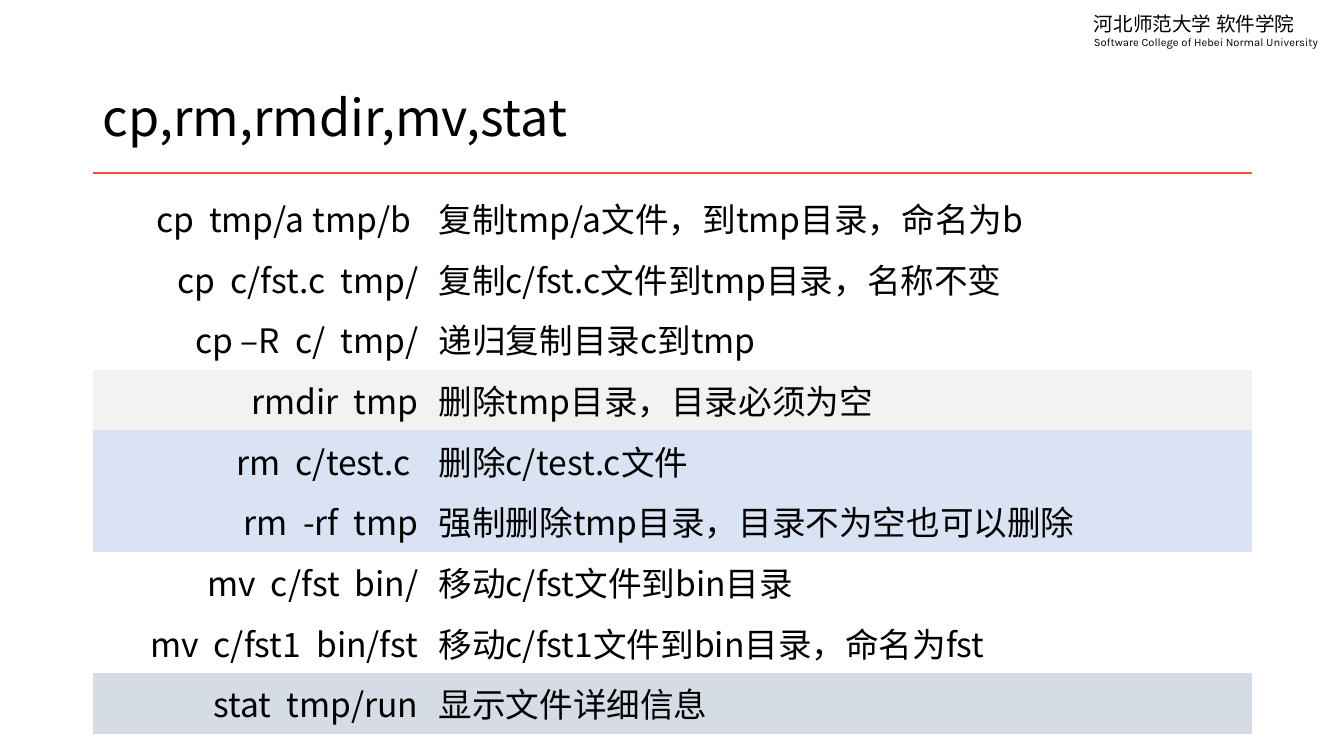
"""Build a slide that lists file commands with their explanations."""
from lxml import etree
from pptx import Presentation
from pptx.dml.color import RGBColor
from pptx.enum.shapes import MSO_CONNECTOR
from pptx.enum.text import MSO_ANCHOR, PP_ALIGN
from pptx.oxml.ns import qn
from pptx.util import Pt

PX = 9144
STRAIGHT = MSO_CONNECTOR.STRAIGHT
MIDDLE = MSO_ANCHOR.MIDDLE
LEFT, RIGHT = PP_ALIGN.LEFT, PP_ALIGN.RIGHT
CJK_FONT = "Noto Sans CJK SC"
LATIN_FONT = "Karla"
BLACK, ORANGE = "000000", "F0532E"
GREY, BLUE, SLATE = "F2F2F2", "DAE3F3", "D6DCE5"
PLAIN_STYLE = "{2D5ABB26-0587-4C30-8999-92F81FD0307C}"
MARGIN, CONTENT_WIDTH = 92, 1150
TABLE_TOP, TABLE_HEIGHT = 186, 542
COLUMN_WIDTHS = (333, 817)
COMMANDS = [
    ("cp  tmp/a tmp/b ", "复制tmp/a文件，到tmp目录，命名为b", None),
    ("cp  c/fst.c  tmp/", "复制c/fst.c文件到tmp目录，名称不变", None),
    ("cp –R  c/  tmp/", "递归复制目录c到tmp", None),
    ("rmdir  tmp", "删除tmp目录，目录必须为空", GREY),
    ("rm  c/test.c ", "删除c/test.c文件", BLUE),
    ("rm  -rf  tmp", "强制删除tmp目录，目录不为空也可以删除", BLUE),
    ("mv  c/fst  bin/", "移动c/fst文件到bin目录", None),
    ("mv  c/fst1  bin/fst", "移动c/fst1文件到bin目录，命名为fst", None),
    ("stat  tmp/run", "显示文件详细信息", SLATE),
]


def px(*lengths):
    """Turn px lengths into EMU."""
    return [length * PX for length in lengths]


def color(value):
    """Turn a hex string into a colour."""
    return RGBColor.from_string(value)


def add_span(para, text, size, font=CJK_FONT):
    """Add one formatted run to a paragraph."""
    span = para.add_run()
    span.text = text
    span.font.size = Pt(size)
    span.font.name = font
    span.font.color.rgb = color(BLACK)
    east_asian = etree.SubElement(span.font._element, qn("a:ea"))
    east_asian.set("typeface", font)


def add_rule(page, left, top, width):
    """Draw the horizontal line under the title."""
    rule = page.shapes.add_connector(STRAIGHT, *px(left, top, left + width, top))
    rule.line.color.rgb = color(ORANGE)
    rule.line.width = Pt(1.5)
    etree.SubElement(rule._element.spPr, qn("a:effectLst"))


def add_school_name(page):
    """Add the two-line school name in the top right corner."""
    box = page.shapes.add_textbox(*px(1075, 7, 249, 49))
    frame = box.text_frame
    frame.word_wrap = True
    add_span(frame.paragraphs[0], "河北师范大学 软件学院", 14)
    para = frame.add_paragraph()
    para.line_spacing = Pt(10.8)
    add_span(para, "Software College of Hebei Normal University", 8, LATIN_FONT)
    add_span(para, " ", 16)


def fill_title(page, text):
    """Place and format the title."""
    title = page.shapes.title
    title.left, title.top, title.width, title.height = px(MARGIN, 81, CONTENT_WIDTH, 77)
    title.text_frame.vertical_anchor = MIDDLE
    para = title.text_frame.paragraphs[0]
    para.alignment = LEFT
    para.line_spacing = 0.9
    add_span(para, text, 36)


def fill_cell(cell, text, alignment, fill):
    """Write one table cell and set its background."""
    cell.vertical_anchor = MIDDLE
    if fill:
        cell.fill.solid()
        cell.fill.fore_color.rgb = color(fill)
    else:
        cell.fill.background()
    para = cell.text_frame.paragraphs[0]
    para.alignment = alignment
    add_span(para, text, 24)


def add_command_table(page):
    """Add the table of commands and explanations."""
    frame = page.shapes.add_table(
        len(COMMANDS), len(COLUMN_WIDTHS),
        *px(MARGIN, TABLE_TOP, CONTENT_WIDTH, TABLE_HEIGHT))
    table = frame.table
    table.first_row = table.horz_banding = False
    table._tbl.tblPr.find(qn("a:tableStyleId")).text = PLAIN_STYLE
    for column, width in zip(table.columns, px(*COLUMN_WIDTHS)):
        column.width = width
    for row, (command, meaning, fill) in zip(table.rows, COMMANDS):
        fill_cell(row.cells[0], command, RIGHT, fill)
        fill_cell(row.cells[1], meaning, LEFT, fill)


def main():
    """Build and save the deck."""
    deck = Presentation()
    deck.slide_width, deck.slide_height = px(1333, 750)
    page = deck.slides.add_slide(deck.slide_layouts[5])
    add_rule(page, MARGIN, 172, CONTENT_WIDTH)
    add_school_name(page)
    fill_title(page, "cp,rm,rmdir,mv,stat")
    add_command_table(page)
    deck.save("out.pptx")


if __name__ == "__main__":
    main()
